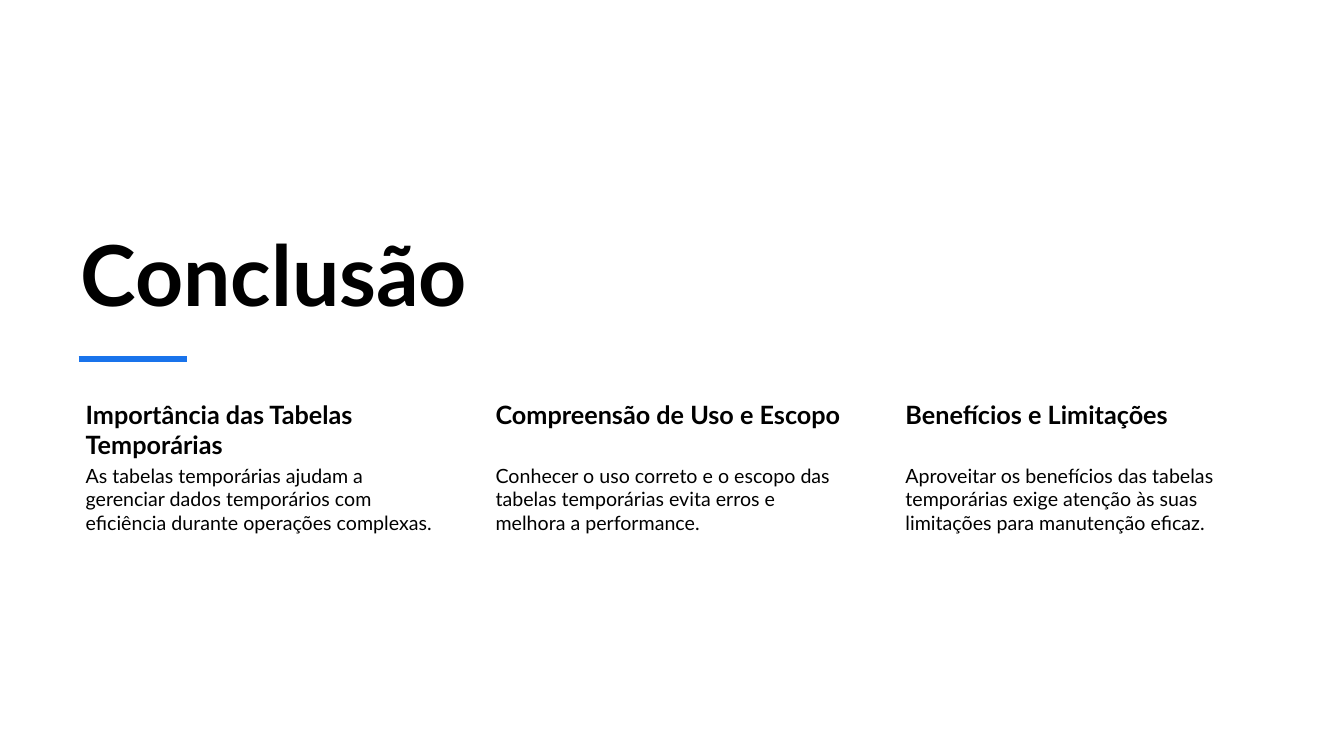
import pptx
import pptx.dml.color
import pptx.enum.shapes
import pptx.enum.text
import pptx.oxml.ns
import pptx.util
from lxml import etree
from pptx.util import Cm

BLACK = pptx.dml.color.RGBColor(0x00, 0x00, 0x00)
BLUE = pptx.dml.color.RGBColor(0x19, 0x73, 0xEB)
FONT = "Lato"

LEFT = 1.78
COLUMN_WIDTH = 9.37
COLUMN_STEP = 10.33
HEADING_TOP = 9.98
HEADING_HEIGHT = 1.65
BODY_HEIGHT = 5.26

TOPICS = [
    (
        "Importância das Tabelas Temporárias",
        "As tabelas temporárias ajudam a gerenciar dados temporários com "
        "eficiência durante operações complexas.",
    ),
    (
        "Compreensão de Uso e Escopo",
        "Conhecer o uso correto e o escopo das tabelas temporárias evita erros "
        "e melhora a performance.",
    ),
    (
        "Benefícios e Limitações",
        "Aproveitar os benefícios das tabelas temporárias exige atenção às suas "
        "limitações para manutenção eficaz.",
    ),
]


def add_text(slide, text, box, size, bold, insets, anchor):
    shape = slide.shapes.add_textbox(*(Cm(length) for length in box))
    frame = shape.text_frame
    frame.word_wrap = True
    frame.vertical_anchor = anchor
    frame.margin_left = Cm(insets[0])
    frame.margin_right = Cm(insets[1])
    frame.margin_top = frame.margin_bottom = Cm(insets[2])
    paragraph = frame.paragraphs[0]
    paragraph.text = text
    paragraph.font.name = FONT
    paragraph.font.size = pptx.util.Pt(size)
    paragraph.font.bold = bold
    paragraph.font.color.rgb = BLACK


def add_title(slide, text):
    add_text(slide, text, (LEFT, 4.37, 22.68, 3.91), 60, True,
             (0.25, 0.25, 0.13), pptx.enum.text.MSO_ANCHOR.BOTTOM)


def add_topic(slide, left, heading, body):
    top = pptx.enum.text.MSO_ANCHOR.TOP
    add_text(slide, heading, (left, HEADING_TOP, COLUMN_WIDTH, HEADING_HEIGHT),
             18, True, (0.38, 0.08, 0.08), top)
    add_text(slide, body,
             (left, HEADING_TOP + HEADING_HEIGHT, COLUMN_WIDTH, BODY_HEIGHT),
             14, False, (0.38, 0.05, 0.05), top)


def add_accent_line(slide, left, right, y):
    line = slide.shapes.add_connector(
        pptx.enum.shapes.MSO_CONNECTOR.STRAIGHT, Cm(left), Cm(y), Cm(right), Cm(y))
    line.line.color.rgb = BLUE
    line.line.width = pptx.util.Pt(4.5)
    etree.SubElement(line._element.spPr, pptx.oxml.ns.qn("a:effectLst"))


def main():
    presentation = pptx.Presentation()
    presentation.slide_width = Cm(33.87)
    presentation.slide_height = Cm(19.05)
    slide = presentation.slides.add_slide(presentation.slide_layouts[6])
    add_title(slide, "Conclusão")
    for column, (heading, body) in enumerate(TOPICS):
        add_topic(slide, LEFT + column * COLUMN_STEP, heading, body)
    add_accent_line(slide, 1.98, 4.7, 9.04)
    presentation.save("out.pptx")


if __name__ == "__main__":
    main()
